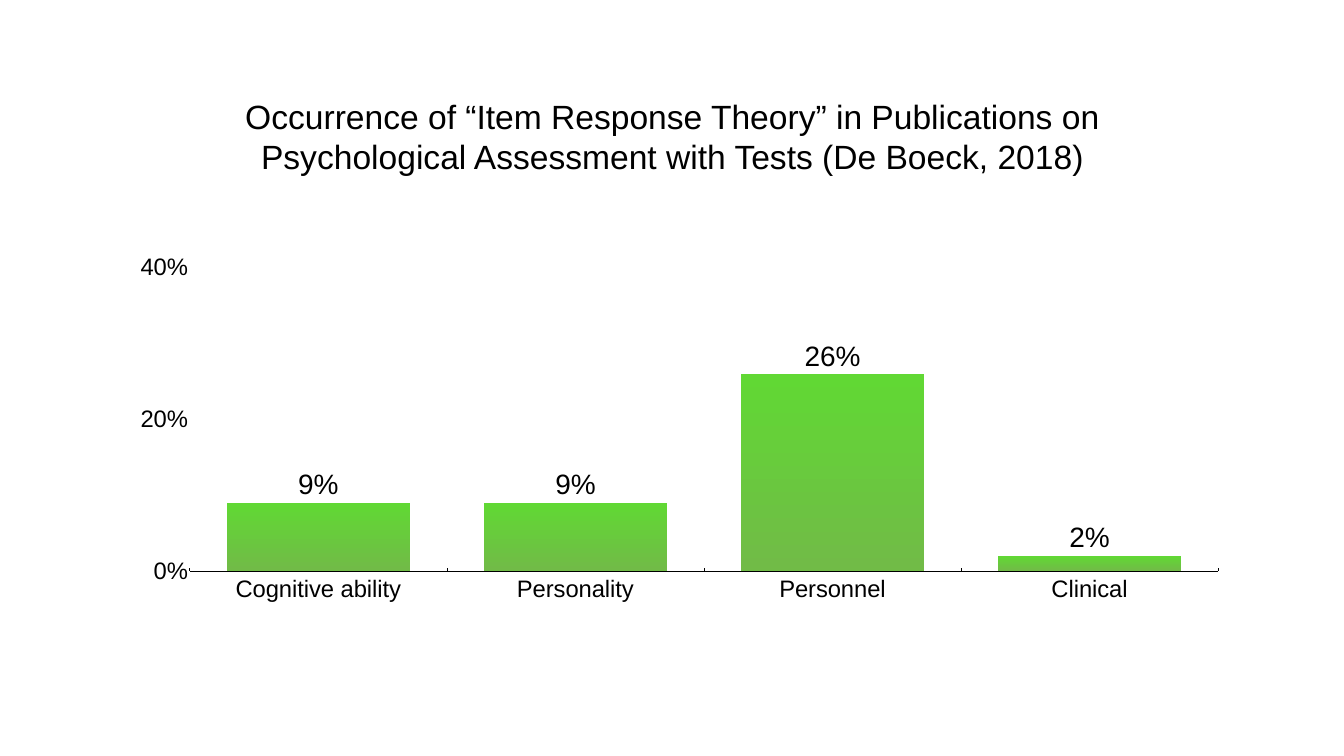
from lxml import etree
from pptx import Presentation
from pptx.chart.data import CategoryChartData
from pptx.dml.color import RGBColor
from pptx.enum.chart import XL_CHART_TYPE, XL_LABEL_POSITION, XL_TICK_LABEL_POSITION, XL_TICK_MARK
from pptx.enum.text import MSO_ANCHOR, PP_ALIGN
from pptx.oxml import parse_xml
from pptx.oxml.ns import nsdecls
from pptx.util import Pt

COLUMN = XL_CHART_TYPE.COLUMN_CLUSTERED
OUTSIDE_END = XL_LABEL_POSITION.OUTSIDE_END
LOW = XL_TICK_LABEL_POSITION.LOW
TICK_NONE, TICK_INSIDE = XL_TICK_MARK.NONE, XL_TICK_MARK.INSIDE
CENTER, MIDDLE = PP_ALIGN.CENTER, MSO_ANCHOR.MIDDLE

BLACK = RGBColor(0x00, 0x00, 0x00)
BRIGHT_GREEN = RGBColor(0x61, 0xD8, 0x34)
MUTED_GREEN = RGBColor(0x71, 0xBB, 0x47)

PERCENT = "#,##0%"
TITLE = "Occurrence of “Item Response Theory” in Publications on Psychological Assessment with Tests (De Boeck, 2018)"
SHARES = {"Cognitive ability": 0.09, "Personality": 0.09, "Personnel": 0.26, "Clinical": 0.02}


def apply(target, values):
    for name, value in values.items():
        setattr(target, name, value)


class SlideBuilder:
    """Holds the text style and the current slide, and adds its elements."""

    font_name = "Arial"
    color = BLACK

    def __init__(self, slide):
        self.slide = slide

    def style_font(self, font, size):
        apply(font, {"name": self.font_name, "size": Pt(size)})
        font.color.rgb = self.color

    def add_text(self, text, bounds, size):
        frame = self.slide.shapes.add_textbox(*map(Pt, bounds)).text_frame
        apply(frame, {"word_wrap": True, "vertical_anchor": MIDDLE})
        paragraph = frame.paragraphs[0]
        apply(paragraph, {"text": text, "alignment": CENTER})
        self.style_font(paragraph.runs[0].font, size)

    def add_column_chart(self, shares, bounds, layout, axis_size, label_size):
        data = CategoryChartData(number_format=PERCENT)
        data.categories = list(shares)
        data.add_series("Series 1", list(shares.values()))
        chart = self.slide.shapes.add_chart(COLUMN, *map(Pt, bounds), data).chart
        apply(chart, {"has_title": False, "has_legend": False})
        self.style_font(chart.font, 10)
        self.style_axis(chart.category_axis, axis_size, {
            "major_tick_mark": TICK_INSIDE, "tick_label_position": LOW})
        self.style_axis(chart.value_axis, axis_size, {
            "major_tick_mark": TICK_NONE, "minimum_scale": 0,
            "maximum_scale": 0.4, "major_unit": 0.2})
        apply(chart.value_axis.tick_labels, {"number_format": PERCENT, "number_format_is_linked": False})
        chart.category_axis.format.line.color.rgb = self.color
        chart.category_axis.format.line.width = Pt(1)
        chart.value_axis.format.line.fill.background()
        plot = chart.plots[0]
        apply(plot, {"gap_width": 40, "overlap": -10, "vary_by_categories": False, "has_data_labels": True})
        apply(plot.data_labels, {
            "show_value": True, "position": OUTSIDE_END,
            "number_format": PERCENT, "number_format_is_linked": False})
        self.style_font(plot.data_labels.font, label_size)
        self.fill_gradient(plot.series[0].format.fill)
        self.place_plot(chart, layout)

    def style_axis(self, axis, size, values):
        apply(axis, {"has_major_gridlines": False, "minor_tick_mark": TICK_NONE, **values})
        self.style_font(axis.tick_labels.font, size)

    def fill_gradient(self, fill):
        fill.gradient()
        fill.gradient_angle = 270
        for stop, position, color in zip(fill.gradient_stops, (0, 1), (BRIGHT_GREEN, MUTED_GREEN)):
            stop.position = position
            stop.color.rgb = color

    def place_plot(self, chart, layout):
        plot_area = chart.plots[0]._element.getparent()
        for old_layout in plot_area.findall("{*}layout"):
            plot_area.remove(old_layout)
        element = parse_xml(f"<c:layout {nsdecls('c')}><c:manualLayout/></c:layout>")
        entries = {"layoutTarget": "inner", "xMode": "edge", "yMode": "edge", **layout}
        for name, value in entries.items():
            tag = etree.QName(element.tag).namespace
            etree.SubElement(element[0], f"{{{tag}}}{name}").set("val", str(value))
        plot_area.insert(0, element)


def main():
    presentation = Presentation()
    apply(presentation, {"slide_width": Pt(1920), "slide_height": Pt(1080)})
    builder = SlideBuilder(presentation.slides.add_slide(presentation.slide_layouts[6]))
    builder.add_column_chart(
        SHARES, (173.5, 132.5, 1574.6, 814.3),
        {"x": 0.062, "y": 0.307, "w": 0.933, "h": 0.532}, axis_size=34, label_size=40)
    builder.add_text(TITLE, (208.8, 132.5, 1504, 123.8), size=48)
    presentation.save("out.pptx")


if __name__ == "__main__":
    main()
